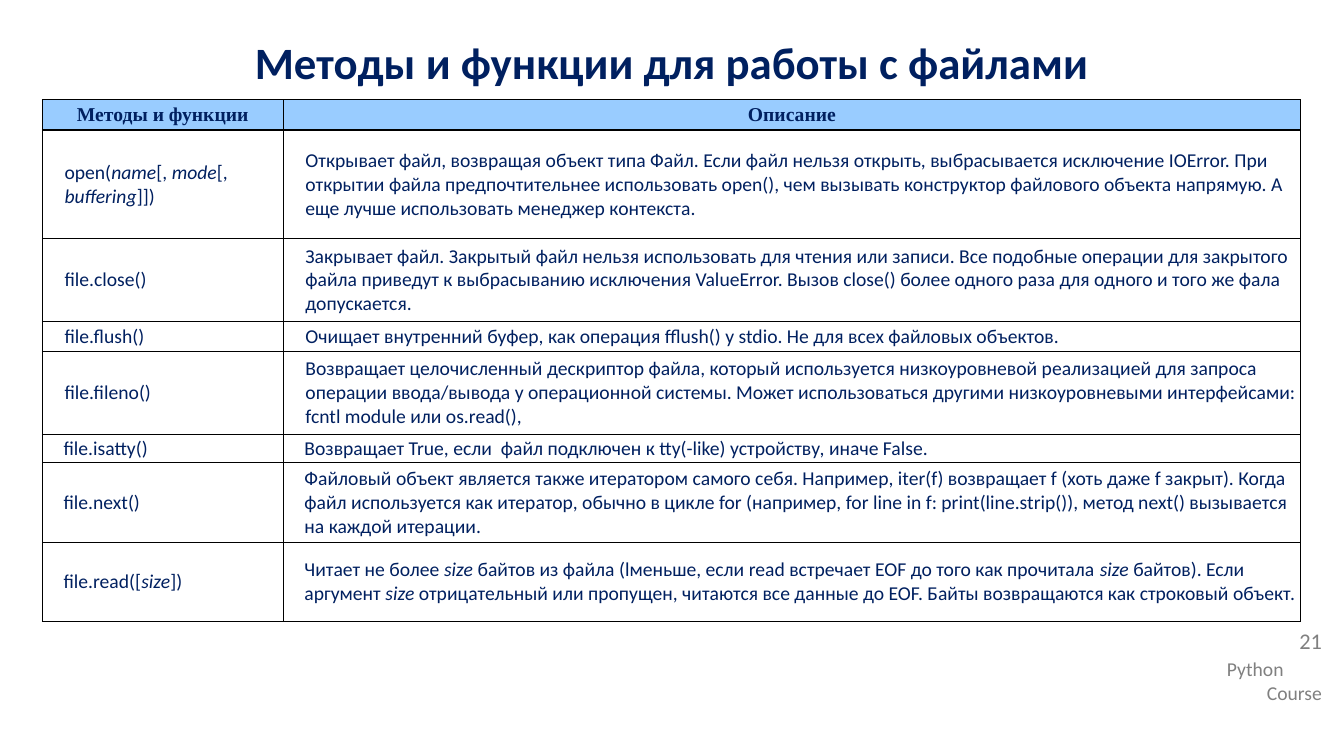
from lxml.etree import SubElement
from pptx import Presentation
from pptx.dml.color import RGBColor
from pptx.enum.text import MSO_ANCHOR as Anchor, PP_ALIGN as Align
from pptx.oxml.ns import qn
from pptx.util import Inches, Pt

NAVY, GRAY, HEADER_BLUE, BLACK = "002060", "808080", "99CCFF", "000000"
COLUMN_WIDTHS = [2.39, 10.09]
HEADINGS = ["Методы и функции", "Описание"]

# Row height, cell margin, method, description; asterisks enclose italics.
METHODS = [
    (1.08, 0.02, "open(*name*[, *mode*[, *buffering*]])",
     "Открывает файл, возвращая объект типа Файл. Если файл нельзя открыть, "
     "выбрасывается исключение IOError. При открытии файла предпочтительнее "
     "использовать open(), чем вызывать конструктор файлового объекта напрямую. "
     "А еще лучше использовать менеджер контекста."),
    (0.82, 0.02, "file.close()",
     "Закрывает файл. Закрытый файл нельзя использовать для чтения или записи. "
     "Все подобные операции для закрытого файла приведут к выбрасыванию "
     "исключения ValueError. Вызов close() более одного раза для одного и того "
     "же фала допускается."),
    (0.3, 0.02, "file.flush()",
     "Очищает внутренний буфер, как операция fflush() у stdio. "
     "Не для всех файловых объектов."),
    (0.82, 0.02, "file.fileno()",
     "Возвращает целочисленный дескриптор файла, который используется "
     "низкоуровневой реализацией для запроса операции ввода/вывода у "
     "операционной системы. Может использоваться другими низкоуровневыми "
     "интерфейсами: fcntl module или os.read(),"),
    (0.28, 0.01, "file.isatty()",
     "Возвращает True, если  файл подключен к tty(-like) устройству, иначе False."),
    (0.79, 0.01, "file.next()",
     "Файловый объект является также итератором самого себя. Например, iter(f) "
     "возвращает f (хоть даже f закрыт). Когда файл используется как итератор, "
     "обычно в цикле for (например, for line in f: print(line.strip()), метод "
     "next() вызывается на каждой итерации."),
    (0.79, 0.01, "file.read([*size*])",
     "Читает не более *size *байтов из файла (lменьше, если read встречает EOF "
     "до того как прочитала *size *байтов). Если аргумент *size *отрицательный "
     "или пропущен, читаются все данные до EOF. Байты возвращаются как "
     "строковый объект."),
]


def color(value):
    return RGBColor.from_string(value)


class SlideWriter:
    """Holds the text style and the current slide."""

    font_name = "Calibri"

    def __init__(self, page):
        self.page = page

    def style(self, para, size, text_color, bold=False, font_name=None):
        para.font.name = font_name or self.font_name
        para.font.size = Pt(size)
        para.font.bold = bold
        para.font.color.rgb = color(text_color)

    def text(self, left, top, width, height, lines, size, text_color,
             bold=False, anchor=Anchor.TOP):
        """Adds a text box from (text, alignment) lines; returns its paragraphs."""
        box = self.page.shapes.add_textbox(
            Inches(left), Inches(top), Inches(width), Inches(height))
        frame = box.text_frame
        frame.word_wrap = True
        frame.vertical_anchor = anchor
        frame.text = "\n".join(line for line, _ in lines)
        for para, (_, alignment) in zip(frame.paragraphs, lines):
            para.alignment = alignment
            self.style(para, size, text_color, bold)
        return frame.paragraphs

    def table(self, left, top, widths, heights):
        frame = self.page.shapes.add_table(
            len(heights), len(widths), Inches(left), Inches(top),
            Inches(sum(widths)), Inches(sum(heights)))
        grid = frame.table
        grid.first_row = grid.horz_banding = False
        for column, width in zip(grid.columns, widths):
            column.width = Inches(width)
        for row, height in zip(grid.rows, heights):
            row.height = Inches(height)
        return grid

    def cell(self, cell, margin, fill=None):
        """Formats a cell and returns its paragraph."""
        cell.vertical_anchor = Anchor.MIDDLE
        cell.margin_left = cell.margin_right = Inches(margin)
        cell.margin_top = cell.margin_bottom = Inches(margin)
        properties = cell._tc.get_or_add_tcPr()
        for side in ("lnL", "lnR", "lnT", "lnB"):
            line = SubElement(properties, qn(f"a:{side}"), w=str(Pt(1)))
            solid = SubElement(line, qn("a:solidFill"))
            SubElement(solid, qn("a:srgbClr"), val=BLACK)
        if fill:
            cell.fill.solid()
            cell.fill.fore_color.rgb = color(fill)
        else:
            cell.fill.background()
        return cell.text_frame.paragraphs[0]

    def heading_cell(self, cell, text):
        para = self.cell(cell, 0.02, HEADER_BLUE)
        para.text = text
        para.alignment = Align.CENTER
        self.style(para, 14, NAVY, True, "Times New Roman")

    def body_cell(self, cell, margin, text):
        para = self.cell(cell, margin)
        para._p.get_or_add_pPr().set("marL", str(Inches(0.2)))
        self.style(para, 14, NAVY)
        for index, part in enumerate(text.split("*")):
            span = para.add_run()
            span.text = part
            if index % 2:
                span.font.italic = True


def main():
    deck = Presentation()
    deck.slide_width, deck.slide_height = Inches(13.33), Inches(7.5)
    writer = SlideWriter(deck.slides.add_slide(deck.slide_layouts[6]))

    writer.text(12.07, 6.47, 1.14, 0.57,
                [("Python", Align.LEFT), ("Course", Align.RIGHT)], 14, GRAY)
    number = writer.text(12.07, 6.2, 1.14, 0.45, [("21", Align.RIGHT)], 16, GRAY)[0]
    number.line_spacing = 0.9
    number.space_before = Pt(10)
    title = writer.text(0, 0.23, 13.33, 0.76,
                        [("Методы и функции для работы с файлами", Align.CENTER)],
                        32, NAVY, True, Anchor.MIDDLE)[0]
    title.space_before = title.space_after = Pt(5)

    heights = [0.3] + [method[0] for method in METHODS]
    grid = writer.table(0.42, 0.99, COLUMN_WIDTHS, heights)
    for column, heading in enumerate(HEADINGS):
        writer.heading_cell(grid.cell(0, column), heading)
    for row, (_, margin, *texts) in enumerate(METHODS, start=1):
        for column, text in enumerate(texts):
            writer.body_cell(grid.cell(row, column), margin, text)

    deck.save("out.pptx")


if __name__ == "__main__":
    main()
